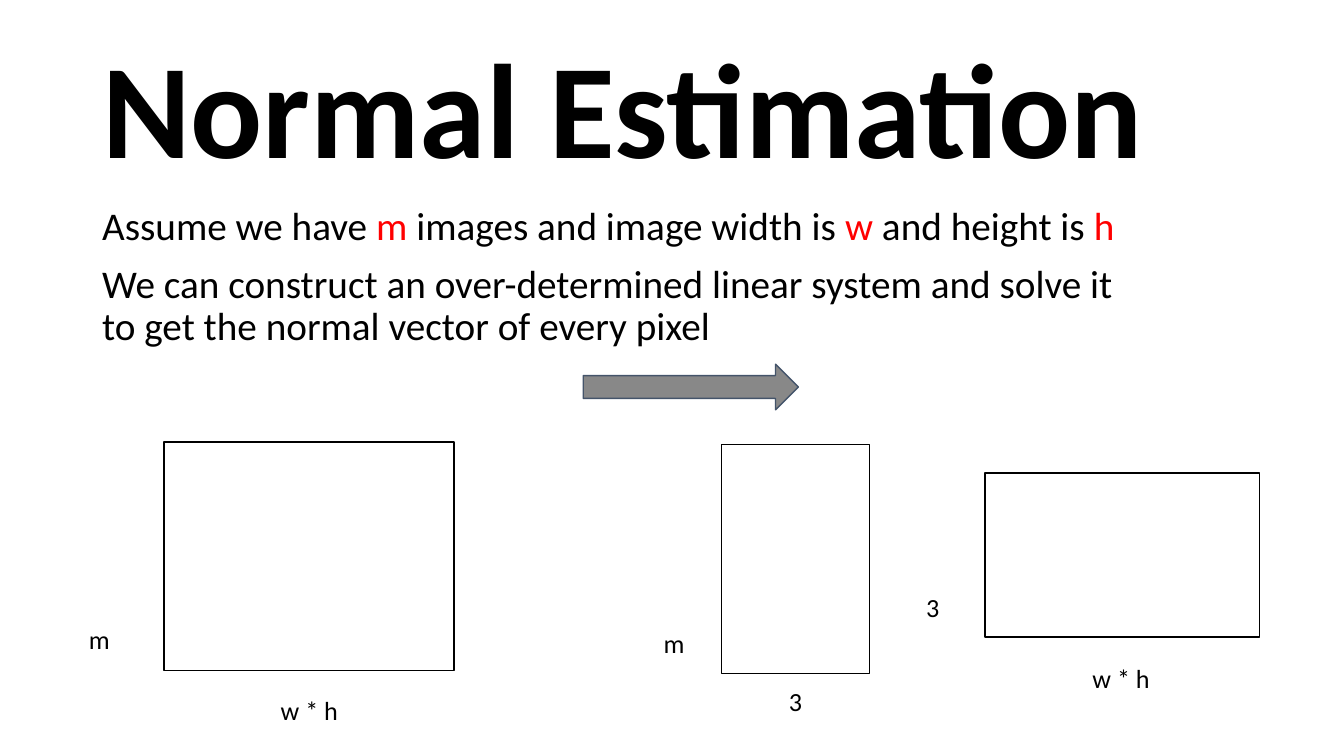
from dataclasses import dataclass

from pptx import Presentation
from pptx.dml.color import RGBColor
from pptx.enum.shapes import MSO_SHAPE
from pptx.enum.text import MSO_ANCHOR, PP_ALIGN
from pptx.util import Inches, Pt


@dataclass(frozen=True)
class Theme:
    font: str = "Calibri"
    ink: str = "000000"
    accent: str = "FF0000"
    paper: str = "FFFFFF"
    arrow: str = "888888"
    edge: str = "44546A"
    title: int = 72
    body: int = 21
    label: int = 14
    line: float = 0.75


THEME = Theme()


def add_text(slide, paras, box, size, bold=False, align=PP_ALIGN.LEFT,
             anchor=MSO_ANCHOR.TOP, inset=(0.07, 0.04), wrap=True,
             spacing=None, before=0):
    """Each paragraph is a list of (text, colour) runs."""
    frame = slide.shapes.add_textbox(*map(Inches, box)).text_frame
    frame.word_wrap = wrap
    frame.vertical_anchor = anchor
    frame.margin_left = frame.margin_right = Inches(inset[0])
    frame.margin_top = frame.margin_bottom = Inches(inset[1])
    for i, runs in enumerate(paras):
        para = frame.paragraphs[0] if i == 0 else frame.add_paragraph()
        para.alignment = align
        if spacing:
            para.line_spacing = spacing
        if i and before:
            para.space_before = Pt(before)
        for text, color in runs:
            run = para.add_run()
            run.text = text
            run.font.name = THEME.font
            run.font.size = Pt(size)
            run.font.bold = bold
            run.font.color.rgb = RGBColor.from_string(color)


def add_label(slide, text, box, align=PP_ALIGN.CENTER):
    add_text(slide, [[(text, THEME.ink)]], box, THEME.label, align=align,
             inset=(0.1, 0.1), wrap=False)


def add_form(slide, kind, box, fill, line):
    shape = slide.shapes.add_shape(kind, *map(Inches, box))
    shape.shadow.inherit = False
    shape.fill.solid()
    shape.fill.fore_color.rgb = RGBColor.from_string(fill)
    shape.line.color.rgb = RGBColor.from_string(line)
    shape.line.width = Pt(THEME.line)


def add_matrix(slide, box, rows, row_box, cols, col_box, align=PP_ALIGN.CENTER):
    add_form(slide, MSO_SHAPE.RECTANGLE, box, THEME.paper, THEME.ink)
    add_label(slide, rows, row_box)
    add_label(slide, cols, col_box, align)


def main():
    # Widescreen page, 16:9
    deck = Presentation()
    deck.slide_width = Inches(10)
    deck.slide_height = Inches(10 * 9 / 16)
    slide = deck.slides.add_slide(deck.slide_layouts[6])
    ink, accent = THEME.ink, THEME.accent

    # Body and title
    body = [
        [("Assume we have ", ink), ("m", accent),
         (" images and image width is ", ink), ("w", accent),
         (" and height is ", ink), ("h", accent)],
        [("We can construct an over-determined linear system and solve it "
          "to get the normal vector of every pixel", ink)],
    ]
    add_text(slide, body, (0.69, 1.5, 7.74, 3.57), THEME.body,
             spacing=0.9, before=8)
    add_text(slide, [[("Normal Estimation", ink)]], (0.69, 0.31, 8.62, 1.09),
             THEME.title, bold=True, anchor=MSO_ANCHOR.MIDDLE, spacing=0.9)

    # Matrices with their row and column counts
    add_matrix(slide, (5.37, 3.31, 1.1, 1.7), "m", (4.67, 4.57, 0.69, 0.44),
               "3", (5.5, 5, 0.84, 0.44))
    add_matrix(slide, (1.22, 3.29, 2.16, 1.7), "m", (0.32, 4.54, 0.84, 0.44),
               "w * h", (1.99, 5.07, 0.63, 0.44), PP_ALIGN.LEFT)
    add_matrix(slide, (7.33, 3.52, 2.04, 1.22), "3", (6.52, 4.3, 0.84, 0.44),
               "w * h", (8.03, 4.83, 0.63, 0.44), PP_ALIGN.LEFT)

    # Arrow from the data to its factors
    add_form(slide, MSO_SHAPE.RIGHT_ARROW, (4.34, 2.71, 1.6, 0.34),
             THEME.arrow, THEME.edge)

    deck.save("out.pptx")


if __name__ == "__main__":
    main()
